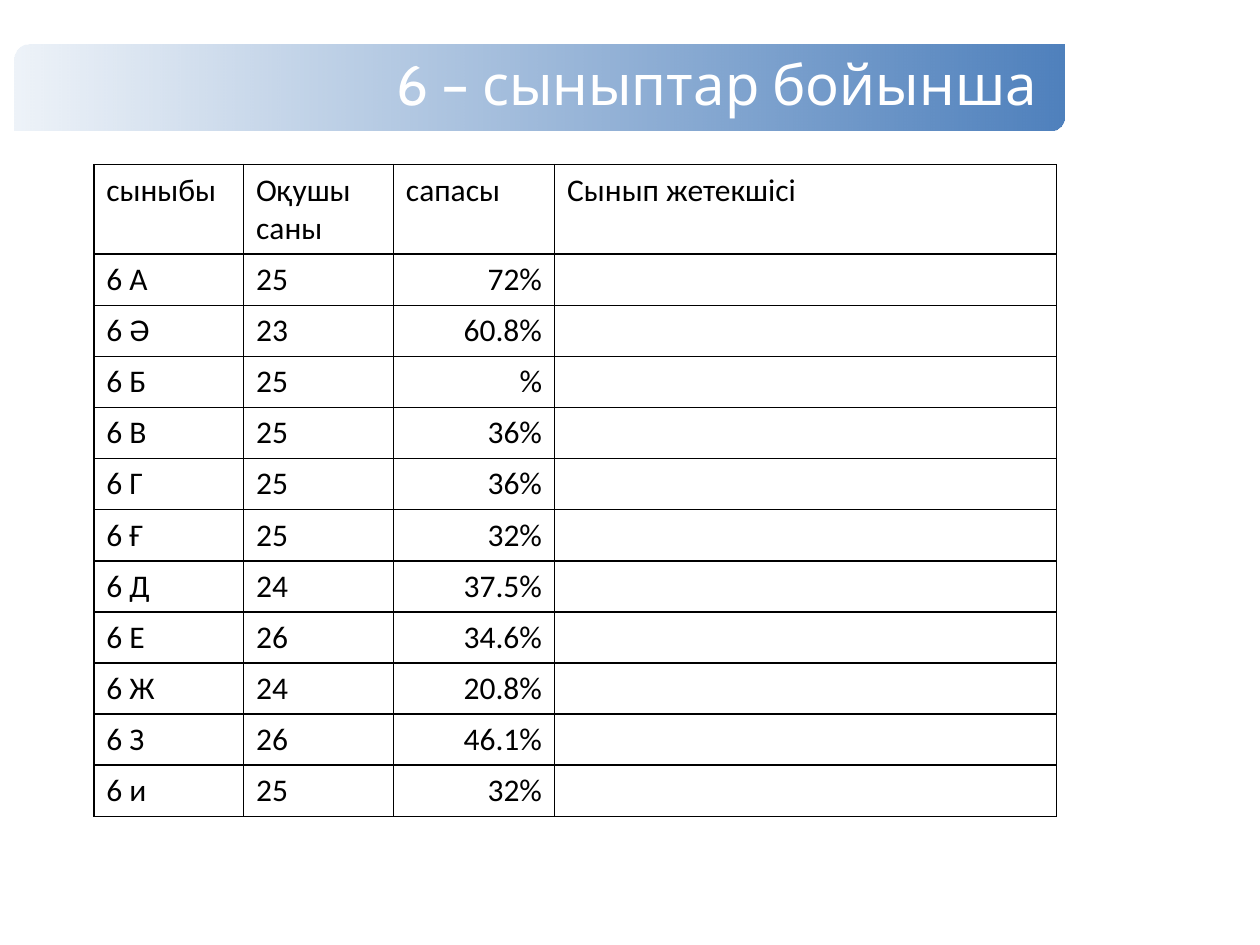
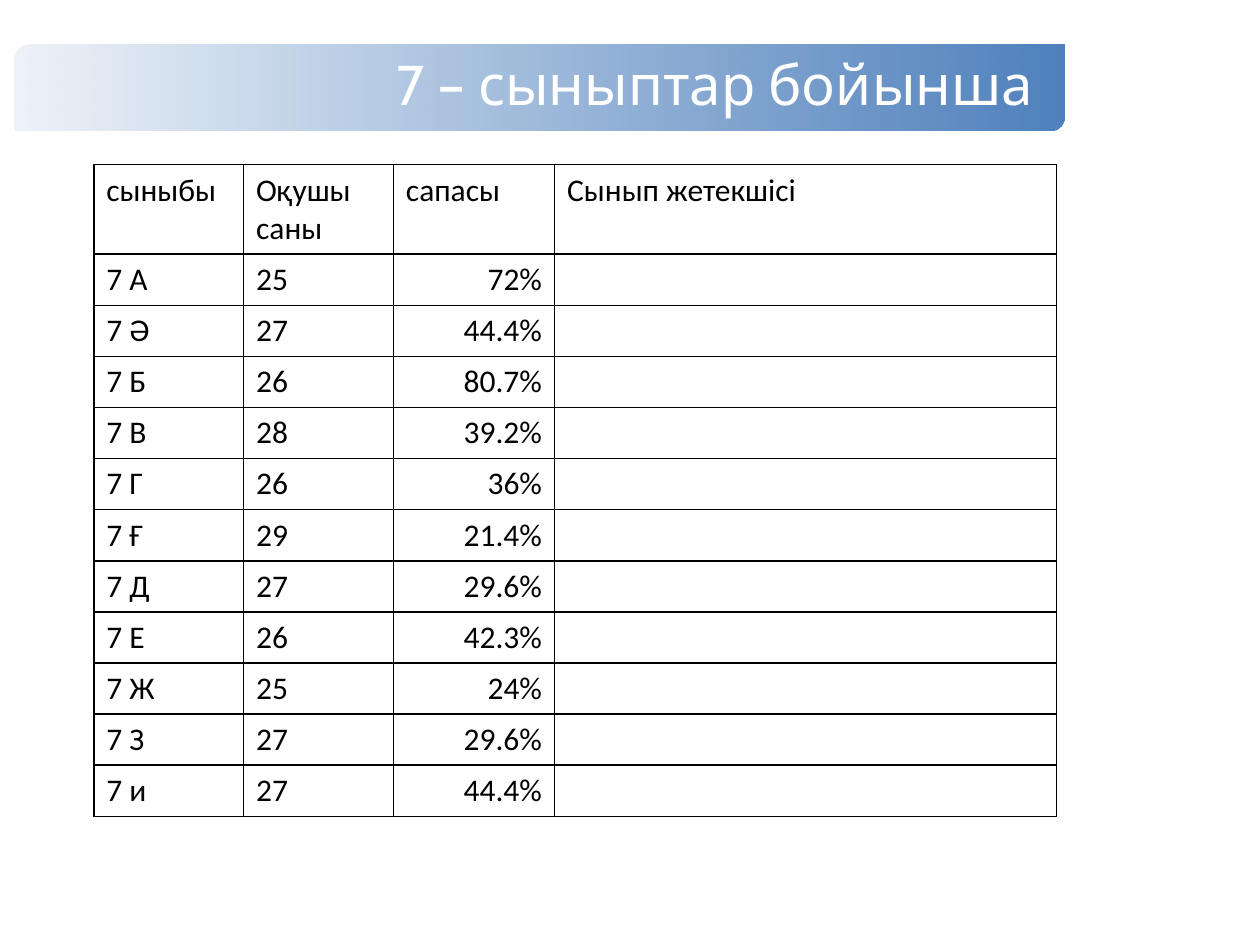
from lxml.etree import SubElement
from pptx import Presentation
from pptx.dml.color import RGBColor
from pptx.enum.shapes import MSO_SHAPE
from pptx.enum.text import MSO_ANCHOR, PP_ALIGN
from pptx.oxml.ns import qn
from pptx.util import Cm, Pt

# Shared look
BLUE, WHITE, BLACK = "4F81BD", "FFFFFF", "000000"
TITLE_FONT = {"name": "Cabin", "size": Pt(32)}
CELL_FONT = {"name": "Calibri", "size": Pt(18), "bold": False}
TITLE_FRAME = {
    "word_wrap": True, "vertical_anchor": MSO_ANCHOR.MIDDLE,
    "margin_left": Cm(7.62), "margin_top": Cm(0.43),
    "margin_right": Cm(0.1), "margin_bottom": Cm(0.43),
}
COLUMN_WIDTHS = (3.02, 3.02, 3.25, 10.12)
HEADER_HEIGHT, ROW_HEIGHT = 1.79, 1.03

# Content: pupil count and quality for each class letter
HEADERS = ("сыныбы", "Оқушы саны", "сапасы", "Сынып жетекшісі")
LETTERS = "АӘБВГҒДЕЖЗи"
GRADES = {
    6: [(25, "72%"), (23, "60.8%"), (25, "%"), (25, "36%"),
        (25, "36%"), (25, "32%"), (24, "37.5%"), (26, "34.6%"),
        (24, "20.8%"), (26, "46.1%"), (25, "32%")],
    7: [(25, "72%"), (27, "44.4%"), (26, "80.7%"), (28, "39.2%"),
        (26, "36%"), (29, "21.4%"), (27, "29.6%"), (26, "42.3%"),
        (25, "24%"), (27, "29.6%"), (27, "44.4%")],
}


def color(hex_value):
    return RGBColor.from_string(hex_value)


def set_format(target, values):
    for name, value in values.items():
        setattr(target, name, value)


def add_run(p, text, font, hex_value):
    r = p.add_run()
    r.text = text
    set_format(r.font, font)
    r.font.color.rgb = color(hex_value)


def fill_fading(sp, hex_value, start_alpha):
    """Fill left to right, from nearly clear to the full colour."""
    sp.fill.gradient()
    sp.fill.gradient_angle = 0
    for stop, position in zip(sp.fill.gradient_stops, (0, 1)):
        stop.position = position
        stop.color.rgb = color(hex_value)
    first = next(sp.fill._xPr.iter(qn("a:srgbClr")))
    SubElement(first, qn("a:alpha"), val=str(start_alpha * 1000))


def add_title_band(s, text):
    sp = s.shapes.add_shape(MSO_SHAPE.ROUND_2_DIAG_RECTANGLE,
                            Cm(0.3), Cm(0.91), Cm(21.16), Cm(1.72))
    sp.shadow.inherit = False
    sp.line.fill.background()
    fill_fading(sp, BLUE, 10)
    tf = sp.text_frame
    set_format(tf, TITLE_FRAME)
    p = tf.paragraphs[0]
    set_format(p, {"alignment": PP_ALIGN.LEFT, "line_spacing": 0.9})
    add_run(p, text, TITLE_FONT, WHITE)


def add_borders(cell, hex_value):
    tc_pr = cell._tc.get_or_add_tcPr()
    for side in ("lnL", "lnR", "lnT", "lnB"):
        ln = SubElement(tc_pr, qn(f"a:{side}"), w=str(Pt(1)))
        fill = SubElement(ln, qn("a:solidFill"))
        SubElement(fill, qn("a:srgbClr"), val=hex_value)


def fill_cell(cell, text, alignment):
    add_borders(cell, BLACK)
    cell.fill.background()
    p = cell.text_frame.paragraphs[0]
    p.alignment = alignment
    if text:
        add_run(p, text, CELL_FONT, BLACK)
    else:
        set_format(p.font, CELL_FONT)


def add_class_table(s, rows):
    height = HEADER_HEIGHT + ROW_HEIGHT * (len(rows) - 1)
    table = s.shapes.add_table(len(rows), len(COLUMN_WIDTHS), Cm(1.89), Cm(3.32),
                               Cm(sum(COLUMN_WIDTHS)), Cm(height)).table
    set_format(table, {"first_row": False, "horz_banding": False})
    for column, width in zip(table.columns, COLUMN_WIDTHS):
        column.width = Cm(width)
    for i, row in enumerate(rows):
        table.rows[i].height = Cm(ROW_HEIGHT if i else HEADER_HEIGHT)
        for j, text in enumerate(row):
            is_quality = i > 0 and j == 2
            fill_cell(table.cell(i, j), text,
                      PP_ALIGN.RIGHT if is_quality else PP_ALIGN.LEFT)


def add_grade_slide(prs, grade, results):
    s = prs.slides.add_slide(prs.slide_layouts[6])
    add_title_band(s, f"{grade} – сыныптар бойынша")
    rows = [(f"{grade} {letter}", str(pupils), quality, "")
            for letter, (pupils, quality) in zip(LETTERS, results)]
    add_class_table(s, [HEADERS, *rows])


def main():
    prs = Presentation()
    set_format(prs, {"slide_width": Cm(25.4), "slide_height": Cm(19.05)})
    for grade, results in GRADES.items():
        add_grade_slide(prs, grade, results)
    prs.save("out.pptx")


if __name__ == "__main__":
    main()
